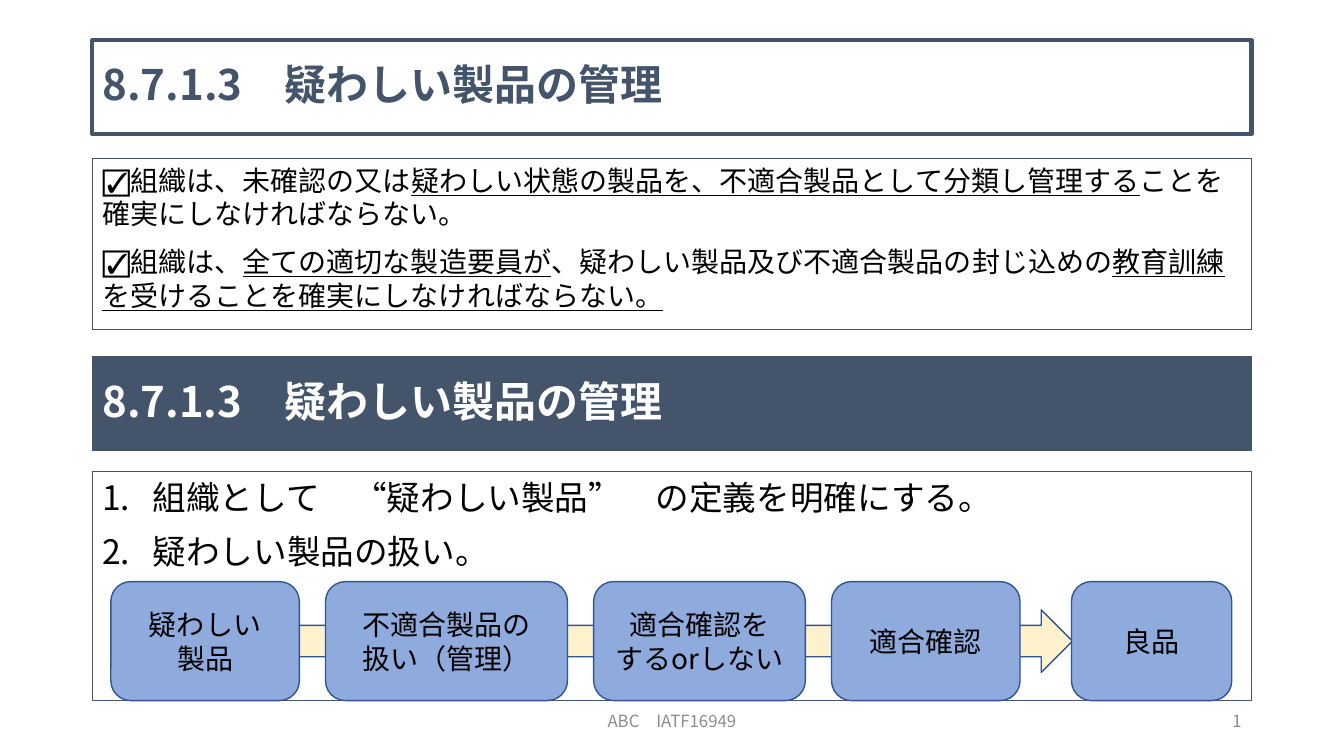
"""Builds the slide on control of suspect products (8.7.1.3)."""
from lxml.etree import SubElement
from pptx import Presentation
from pptx.dml.color import RGBColor
from pptx.enum.shapes import MSO_SHAPE
from pptx.enum.text import MSO_ANCHOR, MSO_AUTO_SIZE, PP_ALIGN
from pptx.oxml.ns import qn
from pptx.util import Emu, Pt

COLORS = {
    "navy": "44546A",
    "white": "FFFFFF",
    "black": "000000",
    "grey": "8C8C8C",
    "cream": "FFF2CC",
    "blue": "8FAADC",
    "outline": "325491",
}
FONT = "Noto Sans CJK JP"
WIDTH, HEIGHT = Emu(12192000), Emu(6858000)
COLUMNS, ROWS = 160, 90
LEFT, SPAN = 11, 138
HEADING_ROWS = 11.16
HEADING = "8.7.1.3　疑わしい製品の管理"
REQUIREMENTS = [
    [("☑組織は、未確認の又は", False),
     ("疑わしい状態の製品を、不適合製品として分類し管理する", True),
     ("ことを確実にしなければならない。", False)],
    [("☑組織は、", False),
     ("全ての適切な製造要員が", True),
     ("、疑わしい製品及び不適合製品の封じ込めの", False),
     ("教育訓練を受けることを確実にしなければならない。", True)],
]
ACTIONS = "組織として　“疑わしい製品”　の定義を明確にする。\n疑わしい製品の扱い。"
STEPS = [
    ("疑わしい\n製品", 22.44, 3.12),
    ("不適合製品の\n扱い（管理）", 28.8, 3.12),
    ("適合確認を\nするorしない", 25.2, 3.12),
    ("適合確認", 22.44, 6.12),
    ("良品", 19.08, 0),
]
FLOW_LEFT, FLOW_TOP, FLOW_ROWS = 13.2, 69.24, 14.16


def color(name):
    return RGBColor.from_string(COLORS[name])


class SlideBuilder:
    """Holds the style and the current slide."""

    def __init__(self, deck):
        self.slide = deck.slides.add_slide(deck.slide_layouts[1])

    def box(self, left, top, width, height):
        across, down = WIDTH / COLUMNS, HEIGHT / ROWS
        return (Emu(round(left * across)), Emu(round(top * down)),
                Emu(round(width * across)), Emu(round(height * down)))

    def place(self, part, area):
        part.left, part.top, part.width, part.height = self.box(*area)

    def paint(self, part, fill, line, weight=1):
        if fill:
            part.fill.solid()
            part.fill.fore_color.rgb = color(fill)
        else:
            part.fill.background()
        part.line.color.rgb = color(line)
        part.line.width = Pt(weight)

    def style(self, part, size, ink, align=PP_ALIGN.LEFT, anchor=MSO_ANCHOR.MIDDLE,
              bold=False, spacing=None, before=0):
        frame = part.text_frame
        frame.word_wrap = True
        frame.auto_size = MSO_AUTO_SIZE.NONE
        frame.vertical_anchor = anchor
        for position, paragraph in enumerate(frame.paragraphs):
            paragraph.alignment = align
            paragraph.line_spacing = spacing
            paragraph.space_before = Pt(before if position else 0)
            for run in paragraph.runs:
                run.font.size = Pt(size)
                run.font.bold = bold
                run.font.color.rgb = color(ink)
                run.font.name = FONT
                SubElement(run._r.get_or_add_rPr(), qn("a:ea"), typeface=FONT)

    def shape(self, kind, area, fill, line):
        part = self.slide.shapes.add_shape(kind, *self.box(*area))
        part.shadow.inherit = False
        self.paint(part, fill, line)
        return part

    def heading(self, part, ink):
        part.text_frame.text = HEADING
        self.style(part, 30, ink, bold=True, spacing=0.9)

    def title(self, top):
        title = self.slide.shapes.title
        self.place(title, (LEFT, top, SPAN, HEADING_ROWS))
        self.paint(title, "white", "navy", 3)
        self.heading(title, "navy")

    def banner(self, top):
        area = (LEFT, top, SPAN, HEADING_ROWS)
        self.heading(self.shape(MSO_SHAPE.RECTANGLE, area, "navy", "navy"), "white")

    def requirements(self, top, height):
        body = self.slide.placeholders[1]
        self.place(body, (LEFT, top, SPAN, height))
        self.paint(body, None, "navy")
        frame = body.text_frame
        for position, pieces in enumerate(REQUIREMENTS):
            paragraph = frame.add_paragraph() if position else frame.paragraphs[0]
            for words, underlined in pieces:
                run = paragraph.add_run()
                run.text = words
                run.font.underline = underlined
        self.style(body, 20, "black", anchor=MSO_ANCHOR.TOP, before=10)
        for paragraph in frame.paragraphs:
            properties = paragraph._p.get_or_add_pPr()
            properties.set("marL", "0")
            properties.set("indent", "0")
            SubElement(properties, qn("a:buNone"))

    def actions(self, top, height):
        panel = self.shape(MSO_SHAPE.RECTANGLE, (LEFT, top, SPAN, height), None, "navy")
        panel.text_frame.text = ACTIONS
        self.style(panel, 24, "black", anchor=MSO_ANCHOR.TOP, before=10)
        for paragraph in panel.text_frame.paragraphs:
            properties = paragraph._p.get_or_add_pPr()
            properties.set("marL", "457200")
            properties.set("indent", "-457200")
            SubElement(properties, qn("a:buFont"), typeface="+mj-lt")
            SubElement(properties, qn("a:buAutoNum"), type="arabicPeriod")

    def flow(self):
        self.shape(MSO_SHAPE.RIGHT_ARROW, (27.24, 72.6, 100.44, 7.44), "cream", "outline")
        left = FLOW_LEFT
        for label, width, gap in STEPS:
            step = self.shape(MSO_SHAPE.ROUNDED_RECTANGLE,
                              (left, FLOW_TOP, width, FLOW_ROWS), "blue", "outline")
            step.text_frame.text = label
            self.style(step, 20, "black", PP_ALIGN.CENTER)
            left += width + gap

    def footer(self, words, left, width, align):
        note = self.slide.shapes.add_textbox(*self.box(left, 83.4, width, 4.8))
        note.text_frame.text = words
        self.style(note, 12, "grey", align)


def main():
    deck = Presentation()
    deck.slide_width, deck.slide_height = WIDTH, HEIGHT
    builder = SlideBuilder(deck)
    builder.footer("ABC　IATF16949", 53, 54, PP_ALIGN.CENTER)
    builder.footer("1", 113, 36, PP_ALIGN.RIGHT)
    builder.requirements(18.84, 20.4)
    builder.title(4.8)
    builder.banner(42.48)
    builder.actions(56.16, 27.24)
    builder.flow()
    deck.save("out.pptx")


if __name__ == "__main__":
    main()
